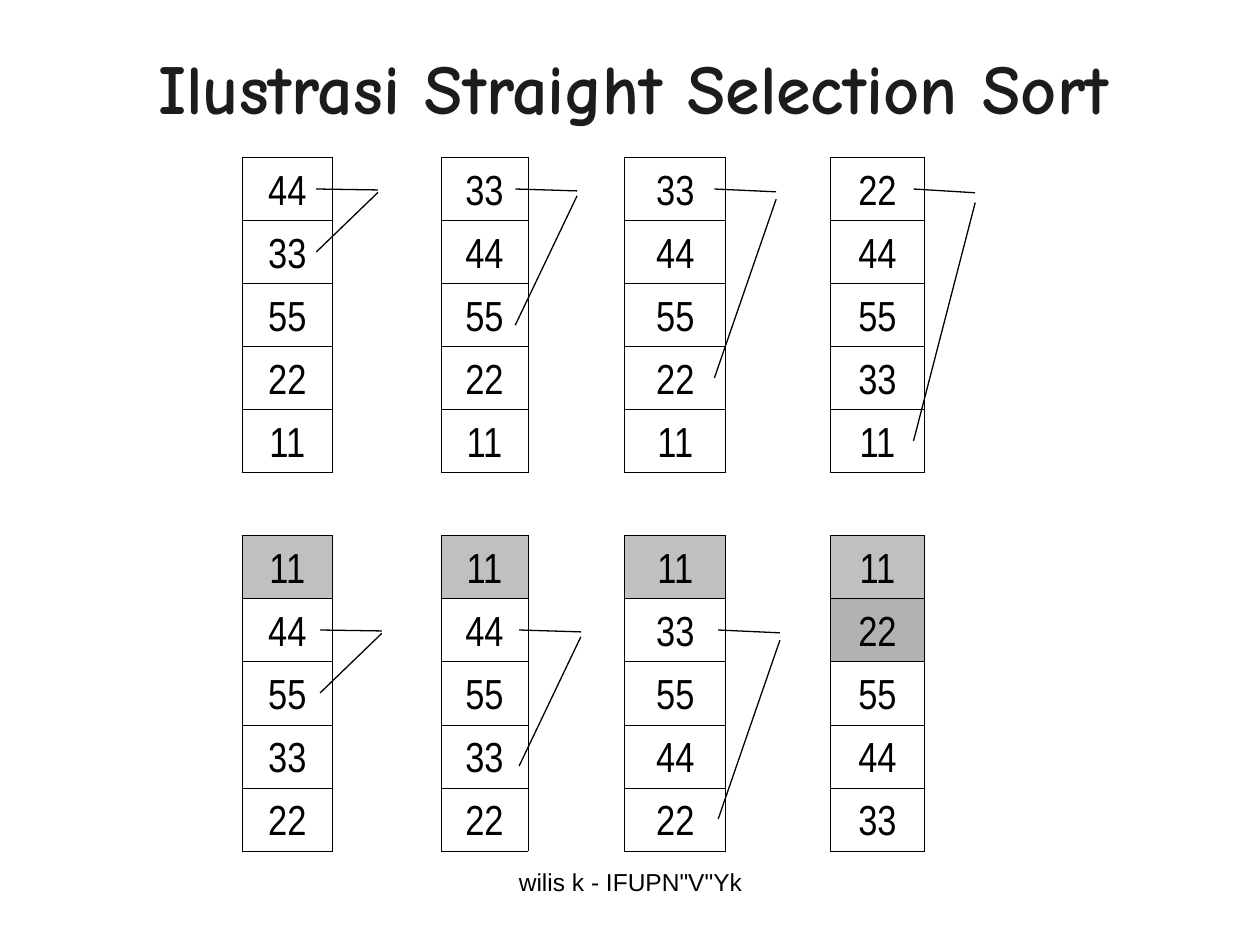
from pptx import Presentation
from pptx.dml.color import RGBColor
from pptx.enum.shapes import MSO_CONNECTOR
from pptx.enum.text import MSO_ANCHOR, PP_ALIGN
from pptx.oxml.ns import qn
from pptx.util import Inches, Pt
from lxml.etree import SubElement

BLACK = RGBColor(0x00, 0x00, 0x00)
CHARCOAL = RGBColor(0x1C, 0x1C, 0x1C)
WHITE = RGBColor(0xFF, 0xFF, 0xFF)
SILVER = RGBColor(0xC0, 0xC0, 0xC0)
GRAY = RGBColor(0xB2, 0xB2, 0xB2)

COLUMN_WIDTHS = (0.72, 0.86, 0.69, 0.77, 0.8, 0.83, 0.75, 0.75)
ROW_HEIGHT = 0.5
# Each column of numbers is one state of the array; None is the gap between passes.
STATES = (
    (44, 33, 55, 22, 11, None, 11, 44, 55, 33, 22),
    (33, 44, 55, 22, 11, None, 11, 44, 55, 33, 22),
    (33, 44, 55, 22, 11, None, 11, 33, 55, 44, 22),
    (22, 44, 55, 33, 11, None, 11, 22, 55, 44, 33),
)
ROWS = len(STATES[0])
COLUMNS = len(COLUMN_WIDTHS)
SORTED_FILLS = {(6, column): SILVER for column in (0, 2, 4, 6)} | {(7, 6): GRAY}

MARKER_STEP = 1.58
MARKER_WIDTH = 0.49
MARKER_HEIGHTS = (0.5, 1.08, 1.5, 2.0)


def style_text(para, font_name, size, color, bold=False):
    para.alignment = PP_ALIGN.CENTER
    font = para.font
    font.name, font.size, font.bold = font_name, Pt(size), bold
    font.color.rgb = color


def add_label(page, text, left, top, width, height, anchor, *style):
    box = page.shapes.add_textbox(Inches(left), Inches(top), Inches(width), Inches(height))
    frame = box.text_frame
    frame.word_wrap = True
    frame.vertical_anchor = anchor
    frame.text = text
    style_text(frame.paragraphs[0], *style)


def value_at(row, column):
    """Return the number in a cell, or None for gaps and places outside the grid."""
    inside = 0 <= row < ROWS and 0 <= column < COLUMNS
    return STATES[column // 2][row] if inside and column % 2 == 0 else None


def set_borders(cell, row, column):
    """Rule every edge that touches a number, on either side of it."""
    neighbours = {"a:lnL": (row, column - 1), "a:lnR": (row, column + 1),
                  "a:lnT": (row - 1, column), "a:lnB": (row + 1, column)}
    properties = cell._tc.get_or_add_tcPr()
    for tag, neighbour in neighbours.items():
        edge = SubElement(properties, qn(tag), w=str(Pt(0.45)))
        if value_at(row, column) is None and value_at(*neighbour) is None:
            SubElement(edge, qn("a:noFill"))
        else:
            fill = SubElement(edge, qn("a:solidFill"))
            SubElement(fill, qn("a:srgbClr"), val=str(BLACK))


def add_states_table(page, left, top):
    frame = page.shapes.add_table(ROWS, COLUMNS, Inches(left), Inches(top),
                                  Inches(sum(COLUMN_WIDTHS)), Inches(ROWS * ROW_HEIGHT))
    table = frame.table
    table.first_row = table.horz_banding = False
    for column, width in zip(table.columns, COLUMN_WIDTHS):
        column.width = Inches(width)
    for row in range(ROWS):
        table.rows[row].height = Inches(ROW_HEIGHT)
        for column in range(COLUMNS):
            cell = table.cell(row, column)
            set_borders(cell, row, column)
            value = value_at(row, column)
            if value is None:
                cell.fill.background()
                continue
            cell.fill.solid()
            cell.fill.fore_color.rgb = SORTED_FILLS.get((row, column), WHITE)
            cell.vertical_anchor = MSO_ANCHOR.BOTTOM
            cell.text = str(value)
            style_text(cell.text_frame.paragraphs[0], "Arial Narrow", 24, BLACK)


def add_line(group, *ends):
    line = group.shapes.add_connector(MSO_CONNECTOR.STRAIGHT, *map(Inches, ends))
    line.line.color.rgb = BLACK
    line.line.width = Pt(0.75)
    SubElement(line._element.spPr, qn("a:effectLst"))


def add_swap_markers(page, left, top, count):
    """Draw one two-line bracket per state, reaching further down each time."""
    for index, height in enumerate(MARKER_HEIGHTS[:count]):
        group = page.shapes.add_group_shape()
        start = left + index * MARKER_STEP
        tip = start + MARKER_WIDTH
        slope = (index + 1) / MARKER_HEIGHTS[-1] * 0.05
        add_line(group, start, top, tip, top + slope * 0.3)
        add_line(group, tip, top + slope * 1.08, start, top + height)


def main():
    deck = Presentation()
    deck.slide_width, deck.slide_height = Inches(10), Inches(7.5)
    page = deck.slides.add_slide(deck.slide_layouts[6])
    add_label(page, "wilis k - IFUPN\"V\"Yk", 3.42, 6.83, 3.17, 0.52,
              MSO_ANCHOR.TOP, "Arial", 14, BLACK)
    add_label(page, "Ilustrasi Straight Selection Sort ", 0.5, 0.3, 9.25, 0.78,
              MSO_ANCHOR.MIDDLE, "Comic Neue", 40, CHARCOAL, True)
    add_states_table(page, 1.92, 1.25)
    add_swap_markers(page, 2.51, 1.5, 4)
    add_swap_markers(page, 2.54, 5, 3)
    deck.save("out.pptx")


if __name__ == "__main__":
    main()
